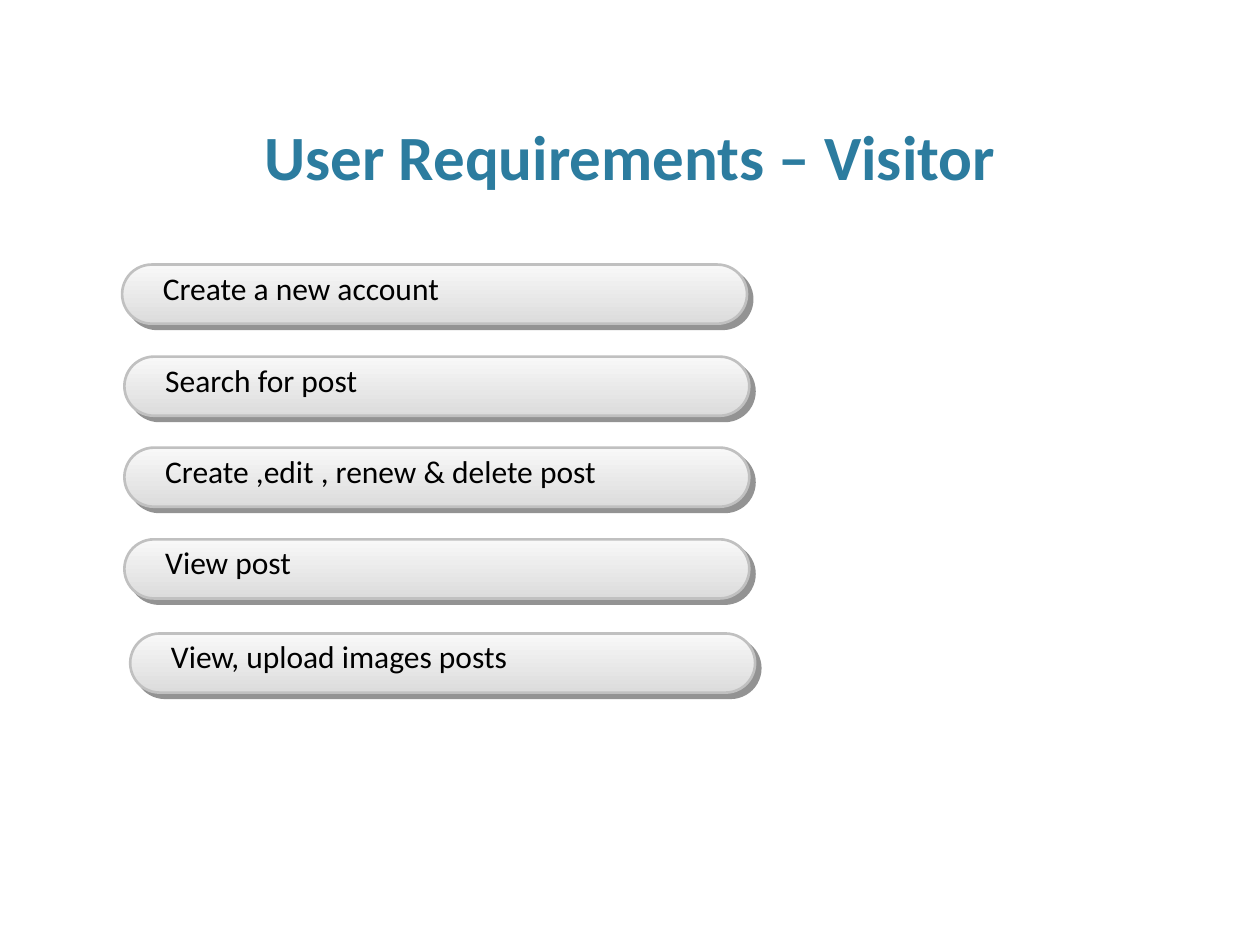
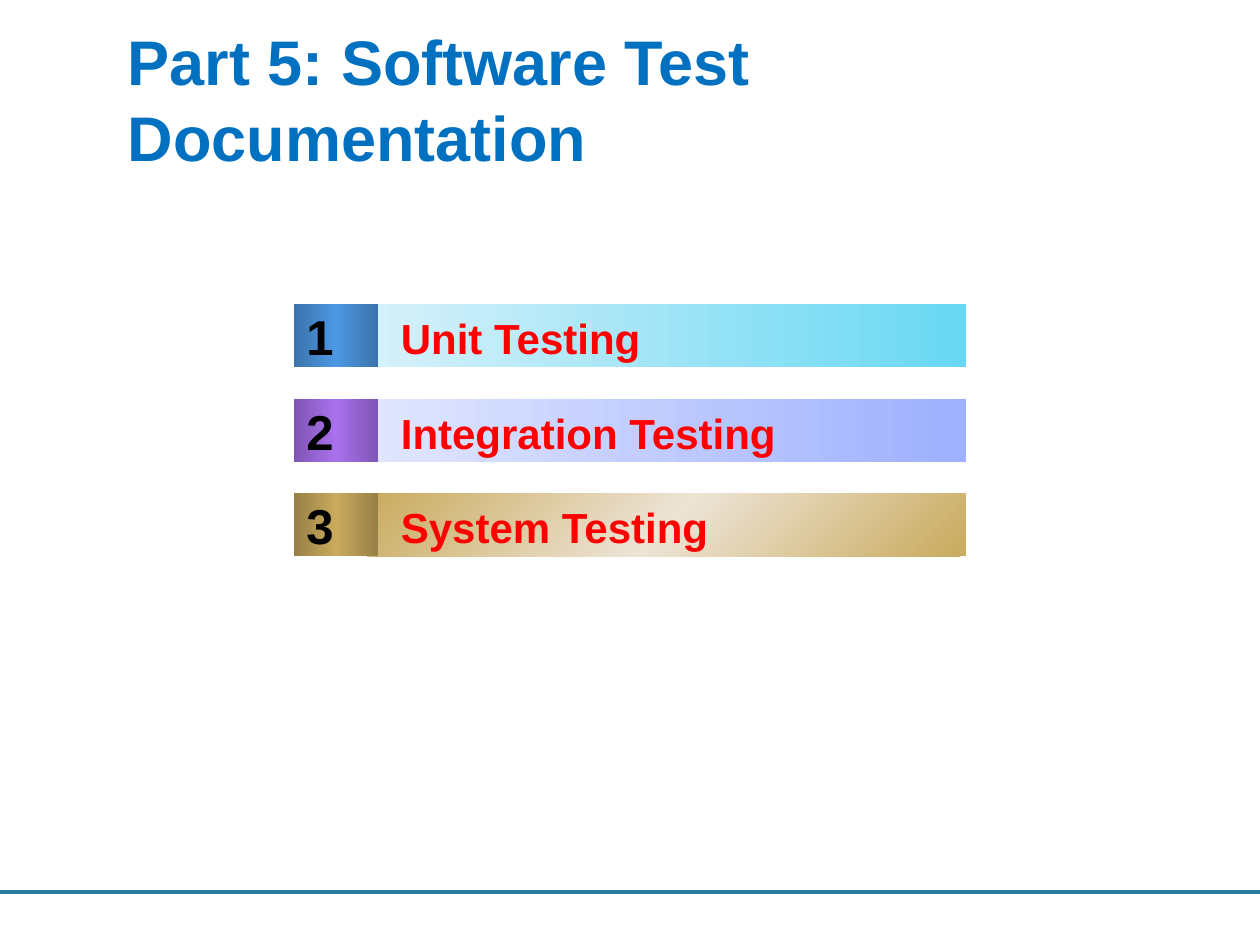
"""Build two slides: visitor requirements and software test documentation."""
from dataclasses import dataclass
from typing import Any, NamedTuple

from lxml.etree import SubElement
from pptx import Presentation
from pptx.dml.color import RGBColor
from pptx.enum.shapes import MSO_CONNECTOR, MSO_SHAPE
from pptx.enum.text import MSO_ANCHOR, MSO_AUTO_SIZE, PP_ALIGN
from pptx.oxml.ns import qn
from pptx.util import Pt


class Box(NamedTuple):
    """Left, top, width and height in points."""
    x: float
    y: float
    w: float
    h: float

    def emu(self) -> list[int]:
        """Return the four lengths for python-pptx."""
        return [Pt(v) for v in self]


class Stop(NamedTuple):
    """One gradient stop, optionally with a shade or tint percentage."""
    pos: int
    color: str
    change: str = ""
    amount: float = 100


class Style(NamedTuple):
    """Font of a text run."""
    font: str
    size: float
    color: str
    bold: bool = False


@dataclass(frozen=True)
class Theme:
    """Colours and type styles shared by the slides."""
    pill: str = "F8F8F8"
    pill_line: str = "C0C0C0"
    pill_shadow: str = "292929"
    rule: str = "287A9E"
    heading: Style = Style("Calibri", 36, "2C7C9F", True)
    item: Style = Style("Calibri", 18, "000000")
    section: Style = Style("Arial", 36, "0070C0", True)
    number: Style = Style("Arial", 28, "000000", True)
    label: Style = Style("Arial", 24, "FF0000", True)


@dataclass(frozen=True)
class Requirement:
    """A pill with its text and top left corner."""
    text: str
    x: float
    y: float


@dataclass(frozen=True)
class TestLevel:
    """A numbered bar with its colours."""
    text: str
    block: str
    bar: tuple[Stop, ...]
    angle: int = 0


THEME = Theme()
PILL_W, PILL_H = 357.1, 33.8
BAR_TOP, BAR_PITCH, BAR_H = 174, 54, 36

REQUIREMENTS = (
    Requirement("Create a new account", 69.8, 151.2),
    Requirement("Search for post", 71.1, 203.8),
    Requirement("Create ,edit , renew & delete post", 71.1, 255.8),
    Requirement("View post", 71.1, 308.2),
    Requirement("View, upload images posts", 74.4, 362),
)

LEVELS = (
    TestLevel("Unit Testing", "4D98E3",
              (Stop(0, "68D8F2", "tint", 36.4), Stop(100, "68D8F2"))),
    TestLevel("Integration Testing", "A971ED",
              (Stop(0, "9EB0FE", "tint", 36.4), Stop(100, "9EB0FE"))),
    TestLevel("System Testing", "C9AA5D",
              (Stop(0, "C9AA5D"), Stop(50, "C9AA5D", "tint", 36.4),
               Stop(100, "C9AA5D")), 45),
)


def apply(target: Any, values: dict[str, Any]) -> None:
    """Set each named attribute on the target."""
    for name, value in values.items():
        setattr(target, name, value)


def write(s: Any, text: str, style: Style, wrap: bool = False,
          align: PP_ALIGN = PP_ALIGN.LEFT,
          anchor: MSO_ANCHOR = MSO_ANCHOR.TOP) -> None:
    """Put one styled run into a shape."""
    tf = s.text_frame
    apply(tf, {"word_wrap": wrap, "vertical_anchor": anchor})
    p = tf.paragraphs[0]
    p.alignment = align
    r = p.add_run()
    r.text = text
    apply(r.font, {"name": style.font, "size": Pt(style.size), "bold": style.bold})
    r.font.color.rgb = RGBColor.from_string(style.color)


def add_text(shapes: Any, box: Box, text: str, style: Style, grow: bool = True,
             **layout: Any) -> None:
    """Add a text box holding one run."""
    s = shapes.add_textbox(*box.emu())
    write(s, text, style, **layout)
    if grow:
        s.text_frame.auto_size = MSO_AUTO_SIZE.SHAPE_TO_FIT_TEXT


def add_color(parent: Any, color: str, change: str = "", amount: float = 100) -> None:
    """Append a colour element with an optional change in percent."""
    clr = SubElement(parent, qn("a:srgbClr"), val=color)
    if change:
        SubElement(clr, qn(f"a:{change}"), val=str(round(amount * 1000)))


def fill_gradient(s: Any, stops: tuple[Stop, ...], angle: int) -> None:
    """Fill a shape with a linear gradient, clockwise angle in degrees."""
    s.fill.gradient()
    grad = s.element.spPr.find(qn("a:gradFill"))
    for child in list(grad):
        grad.remove(child)
    gs_lst = SubElement(grad, qn("a:gsLst"))
    for pos, *color in stops:
        add_color(SubElement(gs_lst, qn("a:gs"), pos=str(pos * 1000)), *color)
    SubElement(grad, qn("a:lin"), ang=str(angle * 60000), scaled="0")


def add_gradient_shape(shapes: Any, kind: MSO_SHAPE, box: Box,
                       stops: tuple[Stop, ...], angle: int) -> Any:
    """Add an unlined, unshadowed shape with a gradient fill."""
    s = shapes.add_shape(kind, *box.emu())
    s.shadow.inherit = False
    s.line.fill.background()
    fill_gradient(s, stops, angle)
    return s


def add_pill(shapes: Any, item: Requirement) -> None:
    """Draw a requirement pill with its hard shadow and text."""
    stops = (Stop(0, THEME.pill), Stop(100, THEME.pill, "shade", 76))
    s = add_gradient_shape(shapes, MSO_SHAPE.ROUNDED_RECTANGLE,
                           Box(item.x, item.y, PILL_W, PILL_H), stops, 90)
    s.adjustments[0] = 0.5
    s.line.color.rgb = RGBColor.from_string(THEME.pill_line)
    s.line.width = Pt(1.5)
    effects = s.element.spPr.find(qn("a:effectLst"))
    shadow = SubElement(effects, qn("a:outerShdw"), blurRad="0", dist=str(Pt(4.2)),
                        dir=str(45 * 60000), algn="ctr", rotWithShape="0")
    add_color(shadow, THEME.pill_shadow, "alpha", 50)
    add_text(shapes, Box(item.x + 16.2, item.y - 1.3, 264, 29), item.text, THEME.item)


def add_level(shapes: Any, index: int, level: TestLevel) -> None:
    """Draw a numbered test level as a grouped bar with a label."""
    y = BAR_TOP + index * BAR_PITCH
    group = shapes.add_group_shape().shapes
    add_gradient_shape(group, MSO_SHAPE.RECTANGLE, Box(210, y, 342, BAR_H),
                       level.bar, level.angle)
    edge = (level.block, "shade", 53.3)
    stops = (Stop(0, *edge), Stop(50, level.block), Stop(100, *edge))
    s = add_gradient_shape(group, MSO_SHAPE.RECTANGLE, Box(168, y, 48, BAR_H), stops, 0)
    write(s, str(index + 1), THEME.number, anchor=MSO_ANCHOR.MIDDLE)
    add_text(shapes, Box(222, y + 1.3, 318, 36.4), level.text, THEME.label, wrap=True)


def add_rule(shapes: Any, y: float, width: float) -> None:
    """Draw the footer rule across the slide."""
    s = shapes.add_connector(MSO_CONNECTOR.STRAIGHT, 0, Pt(y), Pt(width), Pt(y))
    s.line.color.rgb = RGBColor.from_string(THEME.rule)
    s.line.width = Pt(2.25)
    SubElement(s.element.spPr, qn("a:effectLst"))


def build_requirements(shapes: Any) -> None:
    """Fill the visitor requirements slide."""
    add_text(shapes, Box(43.2, 8.6, 633.6, 105.2), "User Requirements – Visitor",
             THEME.heading, grow=False, wrap=True, align=PP_ALIGN.CENTER,
             anchor=MSO_ANCHOR.BOTTOM)
    for item in REQUIREMENTS:
        add_pill(shapes, item)


def build_testing(shapes: Any) -> None:
    """Fill the test documentation slide."""
    add_rule(shapes, 509.8, 720)
    add_text(shapes, Box(66, 9.4, 568.8, 51), "Part 5: Software Test Documentation",
             THEME.section, wrap=True)
    for index, level in enumerate(LEVELS):
        add_level(shapes, index, level)


def main() -> None:
    """Create and save the presentation."""
    prs = Presentation()
    apply(prs, {"slide_width": Pt(720), "slide_height": Pt(540)})
    for build in (build_requirements, build_testing):
        build(prs.slides.add_slide(prs.slide_layouts[6]).shapes)
    prs.save("out.pptx")


if __name__ == "__main__":
    main()
